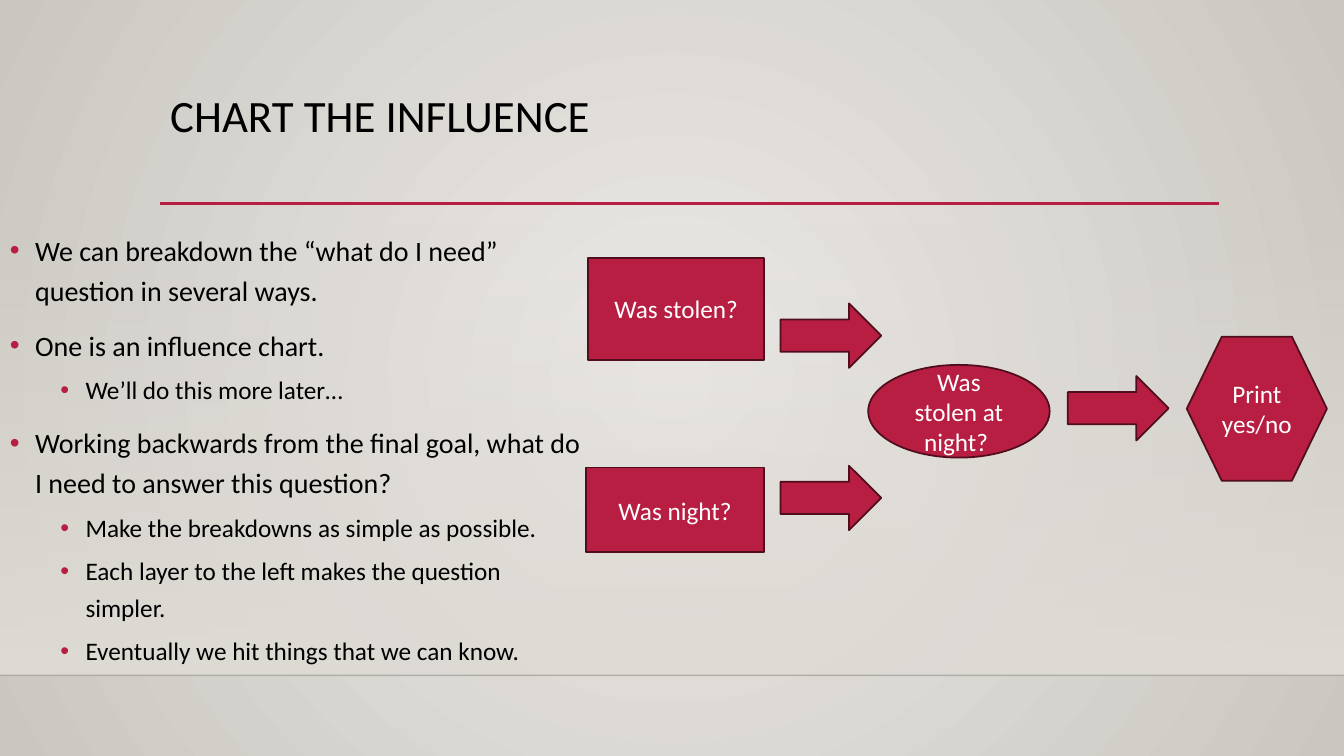
import lxml.etree
import pptx
import pptx.dml.color
import pptx.enum.shapes
import pptx.enum.text
import pptx.oxml.ns
import pptx.util

WIDTH, HEIGHT = pptx.util.Inches(13.33), pptx.util.Inches(7.5)
COLUMN, ROW = WIDTH / 100, HEIGHT / 100
FONT = "Calibri"
ACCENT, OUTLINE, BLACK, WHITE = "B71E42", "500D1D", "000000", "FFFFFF"
SHAPE = pptx.enum.shapes.MSO_SHAPE

POINTS = [
    (0, "We can breakdown the “what do I need” question in several ways."),
    (0, "One is an influence chart."),
    (1, "We’ll do this more later…"),
    (0, "Working backwards from the final goal, what do I need to answer this question?"),
    (1, "Make the breakdowns as simple as possible."),
    (1, "Each layer to the left makes the question simpler."),
    (1, "Eventually we hit things that we can know."),
]
NODES = [
    (SHAPE.HEXAGON, (44.71, 10.4, 10.43, 19.07), "Print yes/no"),
    (SHAPE.OVAL, (21.01, 14.13, 13.5, 12.27), "Was stolen at night? "),
    (SHAPE.RECTANGLE, (0.15, 0, 13.13, 13.47), "Was stolen?"),
    (SHAPE.RECTANGLE, (0, 27.73, 13.28, 11.2), "Was night?"),
]
ARROW_SIZE = (7.5, 8.53)
ARROWS = [(14.48, 6), (14.48, 27.47), (35.86, 15.6)]


def color(value):
    """Turn a hex string into a colour."""
    return pptx.dml.color.RGBColor.from_string(value)


def place(left, top, width, height):
    """Turn a box in grid columns and rows into slide lengths."""
    return [round(length) for length in (left * COLUMN, top * ROW, width * COLUMN, height * ROW)]


def add_element(parent, tag, **attributes):
    """Append a drawing element with the given attributes."""
    element = lxml.etree.SubElement(parent, pptx.oxml.ns.qn(tag))
    for name, value in attributes.items():
        element.set(name, str(value))
    return element


def set_alpha(element, percent):
    """Make the first colour inside an element partly transparent."""
    solid = next(element.iter(pptx.oxml.ns.qn("a:srgbClr")))
    add_element(solid, "a:alpha", val=percent * 1000)


def set_gradient(fill, start, end):
    """Give a fill a two-colour gradient running downwards."""
    fill.gradient()
    fill.gradient_angle = 270
    for stop, position, value in zip(fill.gradient_stops, (0, 1), (start, end)):
        stop.position = position
        stop.color.rgb = color(value)


def add_rule(page, left, right, row, value, points):
    """Draw a horizontal line between two columns."""
    start, level, end, _ = place(left, row, right, 0)
    rule = page.shapes.add_connector(
        pptx.enum.shapes.MSO_CONNECTOR.STRAIGHT, start, level, end, level)
    rule.line.color.rgb = color(value)
    rule.line.width = pptx.util.Pt(points)
    add_element(rule._element.spPr, "a:effectLst")
    return rule


def style_paragraph(para, text, size, value, spacing=None):
    """Write a paragraph in the slide's font."""
    para.text = text
    para.font.name = FONT
    para.font.size = pptx.util.Pt(size)
    para.font.color.rgb = color(value)
    para.line_spacing = spacing


def add_backdrop(page, box):
    """Paint the background, the fading wall and the floor line."""
    set_gradient(page.background.fill, "ECEAE7", "CAC7C1")
    linear = next(page._element.iter(pptx.oxml.ns.qn("a:lin")))
    gradient = linear.getparent()
    gradient.remove(linear)
    circle = add_element(gradient, "a:path", path="circle")
    add_element(circle, "a:fillToRect", l=50000, t=50000, r=50000, b=50000)

    left, top, width, height = box
    wall = page.shapes.add_shape(SHAPE.RECTANGLE, *place(*box))
    wall.shadow.inherit = False
    wall.line.fill.background()
    set_gradient(wall.fill, "DFDBD5", "DFDBD5")
    set_alpha(wall._element.spPr, 0)
    floor = add_rule(page, left, left + width, top + height, "000001", 1)
    set_alpha(floor._element.spPr, 20)


def add_title(page, box, text):
    """Place the title with the accent rule under it."""
    left, top, width, height = box
    add_rule(page, left, left + width, top + height, ACCENT, 2.5)
    frame = page.shapes.add_textbox(*place(*box)).text_frame
    frame.word_wrap = True
    style_paragraph(frame.paragraphs[0], text, 32, BLACK, 0.9)


def add_points(page, box, points):
    """Place the two-level bullet list."""
    frame = page.shapes.add_textbox(*place(*box)).text_frame
    frame.word_wrap = True
    for index, (level, text) in enumerate(points):
        para = frame.add_paragraph() if index else frame.paragraphs[0]
        style_paragraph(para, text, 20 - 2 * level, BLACK, 1.2)
        para.level = level
        para.space_before = pptx.util.Pt(10 - 5 * level)
        properties = para._p.get_or_add_pPr()
        properties.set("marL", str(pptx.util.Inches(0.25 + 0.5 * level)))
        properties.set("indent", str(pptx.util.Inches(-0.25)))
        bullet = [
            add_element(properties, "a:buClr"),
            add_element(properties, "a:buFont", typeface="Arial"),
            add_element(properties, "a:buChar", char="•"),
        ]
        add_element(bullet[0], "a:srgbClr", val=ACCENT)
        defaults = properties.find(pptx.oxml.ns.qn("a:defRPr"))
        if defaults is not None:
            properties.append(defaults)


def add_influence_chart(page, box):
    """Place the nodes and arrows as one group, offset from the box corner."""
    group = page.shapes.add_group_shape()
    parts = NODES + [(SHAPE.RIGHT_ARROW, corner + ARROW_SIZE, "") for corner in ARROWS]
    for kind, (left, top, width, height), text in parts:
        node = group.shapes.add_shape(kind, *place(box[0] + left, box[1] + top, width, height))
        node.shadow.inherit = False
        node.fill.solid()
        node.fill.fore_color.rgb = color(ACCENT)
        node.line.color.rgb = color(OUTLINE)
        node.line.width = pptx.util.Pt(1.25)
        if text:
            frame = node.text_frame
            frame.word_wrap = True
            frame.vertical_anchor = pptx.enum.text.MSO_ANCHOR.MIDDLE
            para = frame.paragraphs[0]
            style_paragraph(para, text, 18, WHITE)
            para.alignment = pptx.enum.text.PP_ALIGN.CENTER


def main():
    """Build the slide and save it."""
    deck = pptx.Presentation()
    deck.slide_width, deck.slide_height = WIDTH, HEIGHT
    page = deck.slides.add_slide(deck.slide_layouts[6])
    add_backdrop(page, (0, 29.47, 100, 59.87))
    add_title(page, (11.93, 11.73, 78.8, 15.2), "CHART THE INFLUENCE")
    add_points(page, (0, 29.33, 44.19, 59.6), POINTS)
    add_influence_chart(page, (43.59, 34.13))
    deck.save("out.pptx")


if __name__ == "__main__":
    main()
